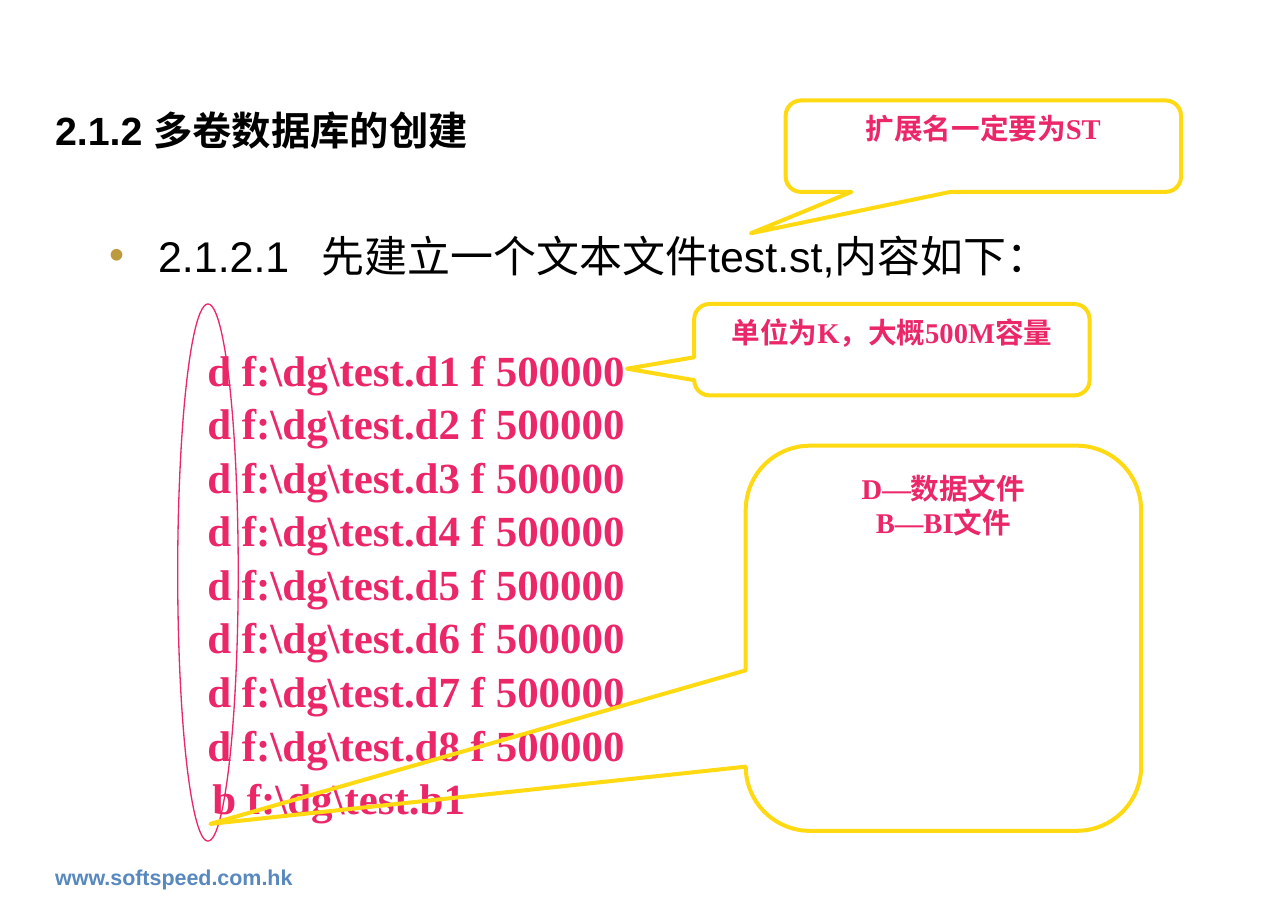
"""Slide on creating a multi-volume database."""
from lxml import etree
from pptx import Presentation
from pptx.dml.color import RGBColor as RGB
from pptx.enum.shapes import MSO_SHAPE as SHAPE
from pptx.enum.text import MSO_ANCHOR as ANCHOR, PP_ALIGN as ALIGN
from pptx.oxml.ns import qn
from pptx.util import Inches, Pt

HUES = {"pink": "EB2768", "gold": "FFD911", "blue": "5788BE", "black": "000000", "dot": "BD9A3D"}


def write(shape, lines, size, face, hue, bold=True):
    frame = shape.text_frame
    frame.word_wrap = True
    frame.text = "\n".join(lines)
    for para in frame.paragraphs:
        for run in para.runs:
            font = run.font
            font.size, font.name, font.bold = Pt(size), face, bold
            font.color.rgb = RGB.from_string(HUES[hue])
    return frame


def draw(kind, box, hue, width):
    shape = slide.shapes.add_shape(kind, *map(Inches, box))
    shape.shadow.inherit = False
    shape.fill.background()
    shape.line.color.rgb = RGB.from_string(HUES[hue])
    shape.line.width = Pt(width)
    return shape


deck = Presentation()
deck.slide_width, deck.slide_height = Inches(10), Inches(7.08)
slide = deck.slides.add_slide(deck.slide_layouts[6])
add_box = slide.shapes.add_textbox

site = add_box(Inches(0.33), Inches(6.66), Inches(3.42), Inches(0.3))
write(site, ["www.softspeed.com.hk"], 12, "Arial", "blue")

title = add_box(Inches(0.33), Inches(0.71), Inches(9.25), Inches(0.94))
frame = write(title, ["2.1.2 "], 22, "Arial", "black")
frame.vertical_anchor = ANCHOR.MIDDLE
frame.margin_bottom = Inches(0.39)
run = frame.paragraphs[0].add_run()
run.text = "多卷数据库的创建"
run.font.size, run.font.name, run.font.bold = Pt(22), "Montserrat", True
run.font.color.rgb = RGB.from_string(HUES["black"])

body = add_box(Inches(0.75), Inches(1.73), Inches(8.5), Inches(0.71))
frame = write(body, ["2.1.2.1\t先建立一个文本文件test.st,内容如下："], 24, "Arial", "black", False)
props = frame.paragraphs[0]._p.get_or_add_pPr()
props.set("marL", str(Inches(0.38)))
props.set("indent", str(-Inches(0.38)))
tint = etree.SubElement(props, qn("a:buClr"))
etree.SubElement(tint, qn("a:srgbClr"), val=HUES["dot"])
etree.SubElement(props, qn("a:buFont"), typeface="Arial")
etree.SubElement(props, qn("a:buChar"), char="•")
tabs = etree.SubElement(props, qn("a:tabLst"))
etree.SubElement(tabs, qn("a:tab"), pos=str(Inches(1.65)), algn="l")

files = [rf"d f:\dg\test.d{n} f 500000" for n in range(1, 9)] + [r"b f:\dg\test.b1"]
code = add_box(Inches(1.38), Inches(2.6), Inches(3.7), Inches(3.7))
frame = write(code, files, 24, "Times New Roman", "pink")
for para in frame.paragraphs:
    para.alignment = ALIGN.CENTER
    para.line_spacing = 1.04
last = frame.paragraphs[-1]
last.alignment = ALIGN.LEFT
last._p.get_or_add_pPr().set("marL", str(Inches(0.17)))

draw(SHAPE.OVAL, (1.38, 2.36, 0.47, 4.17), "pink", 0.75)

notes = [
    ((6.1, 0.78, 3.07, 0.71), (-0.588, 0.953), ["扩展名一定要为ST"]),
    ((5.39, 2.36, 3.07, 0.71), (-0.67, 0.208), ["单位为K，大概500M容量"]),
    ((5.79, 3.46, 3.07, 2.99), (-1.854, 0.482), ["D—数据文件", "B—BI文件"]),
]
for box, tip, lines in notes:
    note = draw(SHAPE.ROUNDED_RECTANGULAR_CALLOUT, box, "gold", 2.25)
    for i, value in enumerate((*tip, 0.167)):
        note.adjustments[i] = value
    frame = write(note, lines, 16, "Times New Roman", "pink")
    frame.vertical_anchor = ANCHOR.TOP
    for para in frame.paragraphs:
        para.alignment = ALIGN.CENTER

deck.save("out.pptx")
